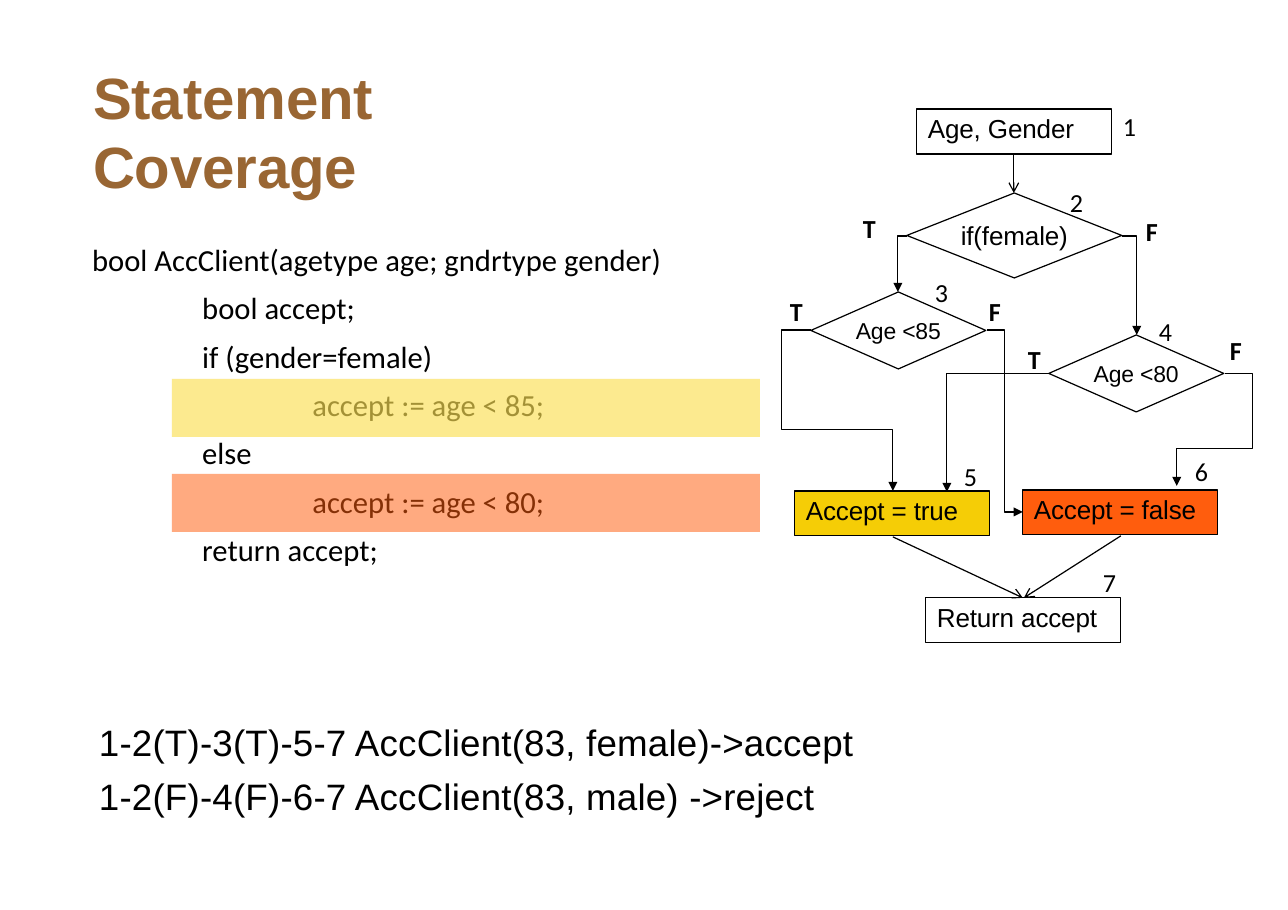
from lxml import etree
from pptx import Presentation, util as u
from pptx.dml.color import RGBColor
from pptx.enum import shapes, text
from pptx.oxml import ns

PX = 8298  # EMU per px
BLACK = RGBColor(0, 0, 0)
BROWN = RGBColor(0x99, 0x66, 0x33)
PALE_YELLOW = RGBColor(0xFB, 0xDF, 0x53)
YELLOW = RGBColor(0xF5, 0xCD, 0x06)
ORANGE = RGBColor(0xFF, 0x5D, 0x0D)
LINE_WIDTH = u.Pt(0.79)
RECT = shapes.MSO_SHAPE.RECTANGLE
DIAMOND = shapes.MSO_SHAPE.DIAMOND

CODE = [  # indent level, line
    (0, "bool AccClient(agetype age; gndrtype gender)"),
    (1, "bool accept;"),
    (1, "if (gender=female)"),
    (2, "accept := age < 85;"),
    (1, "else"),
    (2, "accept := age < 80;"),
    (1, "return accept;"),
]
PATHS = [
    "1-2(T)-3(T)-5-7 AccClient(83, female)->accept",
    "1-2(F)-4(F)-6-7 AccClient(83, male) ->reject",
]
STEPS = [  # text, left, top, fill
    ("Age, Gender", 917, 109, None),
    ("Accept = true", 795, 491, YELLOW),
    ("Accept = false", 1023, 490, ORANGE),
    ("Return accept", 926, 598, None),
]
DECISIONS = [  # text, left, top, width, height, font size
    ("if(female)", 907, 193, 215, 85, 17),
    ("Age <85", 811, 292, 175, 77, 15),
    ("Age <80", 1049, 335, 175, 77, 15),
]
ARROWS = [
    ((1014, 154), (1014, 193)),
    ((893, 537), (1023, 598)),
    ((1121, 536), (1024, 598)),
]
BRANCHES = [
    [(907, 236), (898, 236), (898, 292)],
    [(1122, 236), (1137, 236), (1137, 335)],
    [(811, 330), (782, 330), (782, 430), (893, 430), (893, 491)],
    [(987, 330), (1005, 330), (1005, 512), (1023, 512)],
    [(1049, 374), (947, 374), (947, 492)],
    [(1225, 374), (1253, 374), (1253, 449), (1177, 449), (1177, 486)],
]
NUMBERS = [("1", 1123, 110), ("2", 1070, 187), ("3", 935, 277), ("4", 1159, 316),
           ("5", 964, 461), ("6", 1195, 456), ("7", 1103, 567)]
OUTCOMES = [("T", 863, 213), ("F", 1146, 216), ("T", 1028, 344),
            ("F", 989, 296), ("T", 790, 296), ("F", 1230, 335)]


def px(*lengths):
    return [n * PX for n in lengths]


def set_frame(tf, left=0, top=0, wrap=True):
    tf.margin_left, tf.margin_top = px(left, top)
    tf.margin_right = tf.margin_bottom = 0
    tf.word_wrap = wrap
    tf.vertical_anchor = text.MSO_ANCHOR.TOP


def write(p, words, size, font="Arial", color=BLACK, bold=False, spacing=0):
    r = p.add_run()
    r.text = words
    if spacing:
        r.font._element.set("spc", str(spacing))
    p.font.size = u.Pt(size)
    p.font.name = font
    p.font.bold = bold
    p.font.color.rgb = color


def add_text(s, box, lines, size, line_spacing=None, wrap=True, **style):
    tf = s.shapes.add_textbox(*px(*box)).text_frame
    set_frame(tf, wrap=wrap)
    for i, line in enumerate(lines):
        p = tf.paragraphs[0] if i == 0 else tf.add_paragraph()
        if line_spacing:
            p.line_spacing = line_spacing
        write(p, line, size, **style)
    return tf


def add_code(s):
    tf = add_text(s, (92, 245, 635, 400), [line for _, line in CODE], 20, 0.9,
                  font="Calibri")
    for i, (p, (level, _)) in enumerate(zip(tf.paragraphs, CODE)):
        p._p.get_or_add_pPr().set("marL", str(level * u.Inches(1)))
        if i:
            p.space_before = u.Pt(10)


def add_highlight(s, top, color, opacity):
    sp = s.shapes.add_shape(RECT, *px(172, top, 588, 58))
    sp.shadow.inherit = False
    sp.line.fill.background()
    sp.fill.solid()
    sp.fill.fore_color.rgb = color
    rgb = sp._element.spPr.find(".//" + ns.qn("a:srgbClr"))
    etree.SubElement(rgb, ns.qn("a:alpha"), val=str(opacity * 1000))


def add_node(s, kind, box, fill=None):
    sp = s.shapes.add_shape(kind, *px(*box))
    sp.shadow.inherit = False
    if fill is None:
        sp.fill.background()
    else:
        sp.fill.solid()
        sp.fill.fore_color.rgb = fill
    set_line(sp)
    return sp


def add_step(s, words, left, top, fill):
    tf = add_node(s, RECT, (left, top, 195, 45), fill).text_frame
    set_frame(tf, 11, 4)
    p = tf.paragraphs[0]
    p.alignment = text.PP_ALIGN.LEFT
    write(p, words, 17, spacing=-10)


def add_decision(s, words, left, top, width, height, size):
    tf = add_node(s, DIAMOND, (left, top, width, height)).text_frame
    set_frame(tf, wrap=False)
    tf.vertical_anchor = text.MSO_ANCHOR.MIDDLE
    p = tf.paragraphs[0]
    p.alignment = text.PP_ALIGN.CENTER
    write(p, words, size, spacing=-10)


def set_line(sp, head=None):
    sp.line.color.rgb = BLACK
    sp.line.width = LINE_WIDTH
    if head:
        etree.SubElement(sp.line._get_or_add_ln(), ns.qn("a:tailEnd"), type=head)


def add_arrow(s, start, end):
    line = s.shapes.add_connector(shapes.MSO_CONNECTOR.STRAIGHT, *px(*start, *end))
    set_line(line, "arrow")
    etree.SubElement(line._element.spPr, ns.qn("a:effectLst"))


def add_branch(s, points):
    builder = s.shapes.build_freeform(*points[0], scale=PX)
    builder.add_line_segments(points[1:], close=False)
    sp = builder.convert_to_shape()
    sp.shadow.inherit = False
    sp.fill.background()
    set_line(sp, "triangle")


def add_label(s, words, left, top, bold=False):
    add_text(s, (left, top, 17, 33), [words], 17, wrap=False, font="Calibri", bold=bold)


def main():
    prs = Presentation()
    prs.slide_width, prs.slide_height = u.Inches(11.69), u.Inches(8.26)
    s = prs.slides.add_slide(prs.slide_layouts[6])

    # Title, code and highlighted statements
    add_text(s, (93, 62, 500, 138), ["Statement Coverage"], 38, u.Pt(45.2),
             color=BROWN, bold=True, spacing=-10)
    add_code(s)
    add_highlight(s, 379, PALE_YELLOW, 65)
    add_highlight(s, 474, ORANGE, 52)

    # Test paths
    add_text(s, (99, 711, 983, 139), PATHS, 24, 1.21, spacing=13)

    # Flow chart
    for step in STEPS:
        add_step(s, *step)
    for decision in DECISIONS:
        add_decision(s, *decision)
    for start, end in ARROWS:
        add_arrow(s, start, end)
    for points in BRANCHES:
        add_branch(s, points)

    # Node numbers and branch outcomes
    for number in NUMBERS:
        add_label(s, *number)
    for outcome in OUTCOMES:
        add_label(s, *outcome, bold=True)

    prs.save("out.pptx")


if __name__ == "__main__":
    main()
